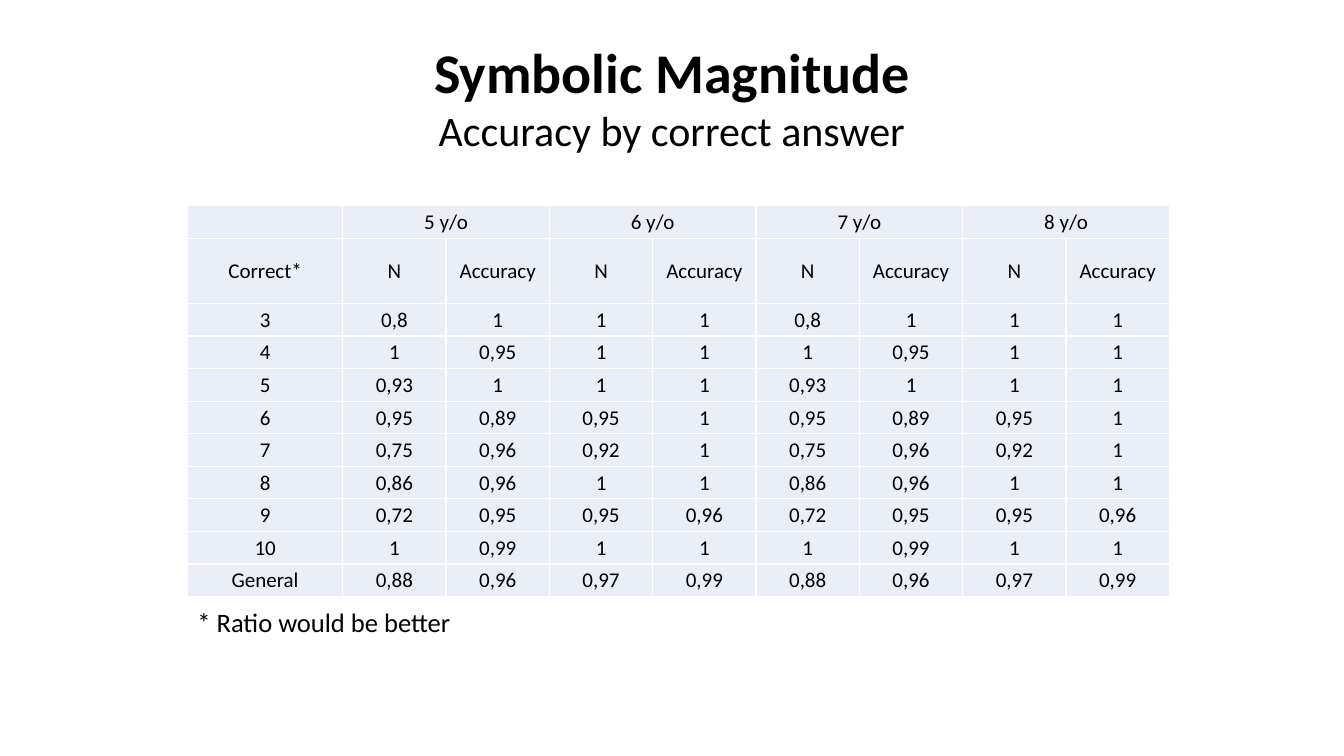
from dataclasses import dataclass

from lxml.etree import SubElement
from pptx import Presentation
from pptx.dml.color import RGBColor
from pptx.enum.text import MSO_ANCHOR as Anchor, MSO_AUTO_SIZE as AutoSize, PP_ALIGN as Align
from pptx.oxml.ns import qn
from pptx.slide import Slide
from pptx.table import _Cell as Cell
from pptx.text.text import TextFrame, _Paragraph as Paragraph
from pptx.util import Inches, Pt

COLORS = {"text": "000000", "cell": "EAEFF7", "border": "FFFFFF"}
FONT = "Calibri"

AGES = ["5 y/o", "6 y/o", "7 y/o", "8 y/o"]
MEASURES = ["N", "Accuracy"]
RESULTS = [
    ["3", "0,8", "1", "1", "1", "0,8", "1", "1", "1"],
    ["4", "1", "0,95", "1", "1", "1", "0,95", "1", "1"],
    ["5", "0,93", "1", "1", "1", "0,93", "1", "1", "1"],
    ["6", "0,95", "0,89", "0,95", "1", "0,95", "0,89", "0,95", "1"],
    ["7", "0,75", "0,96", "0,92", "1", "0,75", "0,96", "0,92", "1"],
    ["8", "0,86", "0,96", "1", "1", "0,86", "0,96", "1", "1"],
    ["9", "0,72", "0,95", "0,95", "0,96", "0,72", "0,95", "0,95", "0,96"],
    ["10", "1", "0,99", "1", "1", "1", "0,99", "1", "1"],
    ["General", "0,88", "0,96", "0,97", "0,99", "0,88", "0,96", "0,97", "0,99"],
]

TABLE_LEFT, TABLE_TOP, TABLE_WIDTH, TABLE_HEIGHT = 1.86, 2.04, 9.74, 3.88
LABEL_WIDTH = 1.54


@dataclass
class Line:
    text: str
    size: float
    bold: bool = False


@dataclass
class TextBlock:
    left: float
    top: float
    width: float
    height: float
    lines: list[Line]
    align: Align
    anchor: Anchor
    auto_size: AutoSize
    line_spacing: float = 1.0


TEXT_BLOCKS = [
    TextBlock(4.06, 0.32, 5.21, 1.28,
              [Line("Symbolic Magnitude", 40, True), Line("Accuracy by correct answer", 30)],
              Align.CENTER, Anchor.TOP, AutoSize.SHAPE_TO_FIT_TEXT),
    TextBlock(1.86, 5.92, 6.13, 0.53, [Line("* Ratio would be better", 19)],
              Align.LEFT, Anchor.MIDDLE, AutoSize.NONE, 0.9),
]


def add_line(paragraph: Paragraph, line: Line, align: Align) -> None:
    paragraph.alignment = align
    run = paragraph.add_run()
    run.text = line.text
    run.font.name = FONT
    run.font.size = Pt(line.size)
    run.font.bold = line.bold
    run.font.color.rgb = RGBColor.from_string(COLORS["text"])


def add_text_block(slide: Slide, block: TextBlock) -> None:
    box = slide.shapes.add_textbox(Inches(block.left), Inches(block.top),
                                   Inches(block.width), Inches(block.height))
    frame: TextFrame = box.text_frame
    frame.word_wrap = True
    frame.auto_size = block.auto_size
    frame.vertical_anchor = block.anchor
    for index, line in enumerate(block.lines):
        paragraph = frame.add_paragraph() if index else frame.paragraphs[0]
        paragraph.line_spacing = block.line_spacing
        add_line(paragraph, line, block.align)


def style_cell(cell: Cell) -> None:
    cell.margin_left = cell.margin_right = cell.margin_top = Inches(0.01)
    cell.margin_bottom = 0
    cell.vertical_anchor = Anchor.MIDDLE
    properties = cell._tc.get_or_add_tcPr()
    for side in ("lnL", "lnR", "lnT", "lnB"):
        border = SubElement(properties, qn(f"a:{side}"), w=str(Pt(1)))
        border_fill = SubElement(border, qn("a:solidFill"))
        SubElement(border_fill, qn("a:srgbClr"), val=COLORS["border"])
    cell.fill.solid()
    cell.fill.fore_color.rgb = RGBColor.from_string(COLORS["cell"])


def add_accuracy_table(slide: Slide) -> None:
    # Each age heads one column per measure
    age_row = [""]
    for age in AGES:
        age_row += [age] + [""] * (len(MEASURES) - 1)
    rows = [age_row, ["Correct*"] + MEASURES * len(AGES)] + RESULTS

    table = slide.shapes.add_table(len(rows), len(age_row), Inches(TABLE_LEFT), Inches(TABLE_TOP),
                                   Inches(TABLE_WIDTH), Inches(TABLE_HEIGHT)).table
    table.first_row = table.horz_banding = False

    # The measure row is twice as tall as the others
    value_width = (TABLE_WIDTH - LABEL_WIDTH) / (len(age_row) - 1)
    row_height = TABLE_HEIGHT / (len(rows) + 1)
    for index, column in enumerate(table.columns):
        column.width = Inches(value_width if index else LABEL_WIDTH)
    for index, row in enumerate(table.rows):
        row.height = Inches(row_height * (2 if index == 1 else 1))

    for row_index, texts in enumerate(rows):
        for column_index, text in enumerate(texts):
            cell = table.cell(row_index, column_index)
            style_cell(cell)
            if text:
                add_line(cell.text_frame.paragraphs[0], Line(text, 15), Align.CENTER)

    for first in range(1, len(age_row), len(MEASURES)):
        table.cell(0, first).merge(table.cell(0, first + len(MEASURES) - 1))


def main() -> None:
    presentation = Presentation()
    presentation.slide_width = Inches(13.33)
    presentation.slide_height = Inches(7.5)
    slide = presentation.slides.add_slide(presentation.slide_layouts[6])

    # Title and footnote
    for block in TEXT_BLOCKS:
        add_text_block(slide, block)

    # Results by age
    add_accuracy_table(slide)

    presentation.save("out.pptx")


if __name__ == "__main__":
    main()
